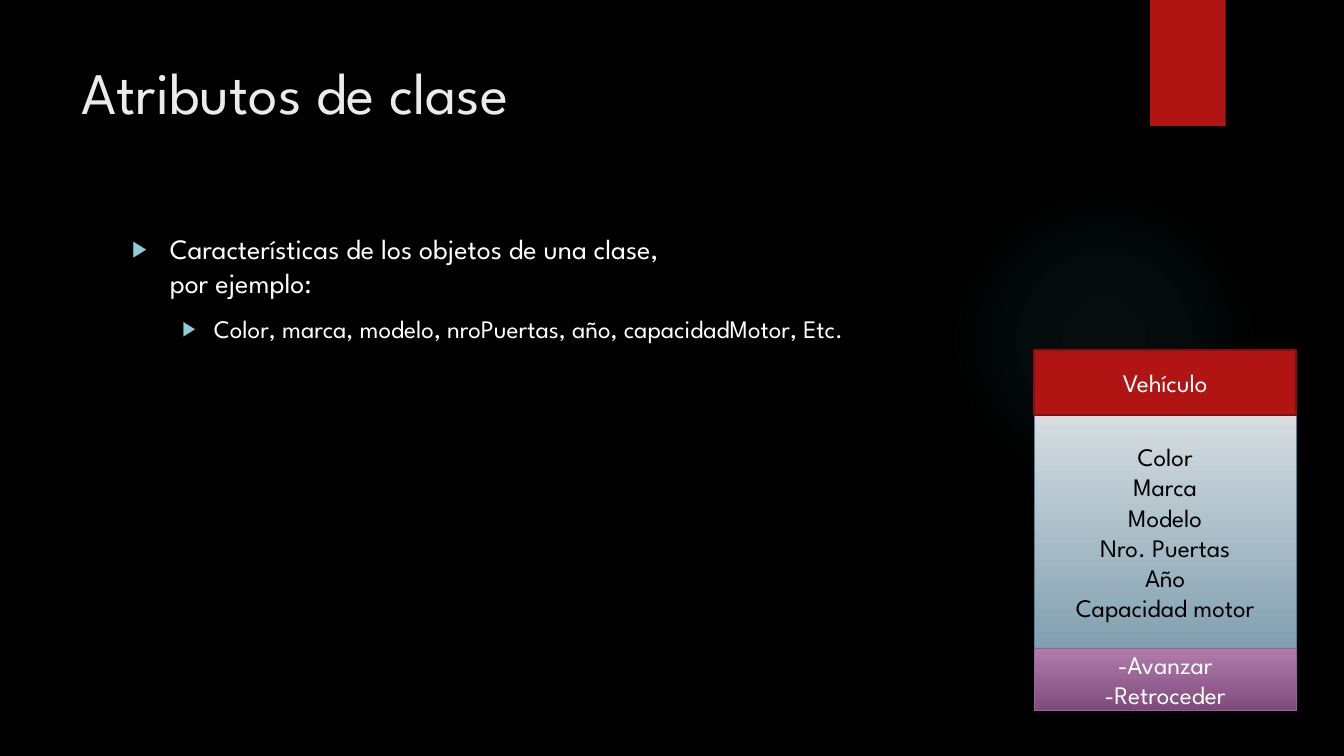
from lxml import etree
from pptx import Presentation
from pptx.dml.color import RGBColor
from pptx.enum.shapes import MSO_SHAPE
from pptx.enum.text import MSO_ANCHOR, MSO_AUTO_SIZE, PP_ALIGN
from pptx.oxml import parse_xml
from pptx.oxml.ns import qn
from pptx.util import Pt

RECTANGLE, OVAL = MSO_SHAPE.RECTANGLE, MSO_SHAPE.OVAL
TOP, MIDDLE = MSO_ANCHOR.TOP, MSO_ANCHOR.MIDDLE
LEFT, CENTER = PP_ALIGN.LEFT, PP_ALIGN.CENTER
NO_AUTOFIT = MSO_AUTO_SIZE.NONE

FONT = "League Spartan"
DRAWING_NS = "http://schemas.openxmlformats.org/drawingml/2006/main"
COLORS = {
    "background": "000000", "title": "EBEBEB", "light": "FFFFFF", "dark": "000000",
    "bullet": "8AD0D6", "glow": "50B9C1", "red": "B01513", "red line": "82100E",
    "blue top": "D5DDE2", "blue bottom": "81A0B0", "blue line": "54849A",
    "purple top": "AF7CAC", "purple bottom": "7F4B7C", "purple line": "9E5E9B",
}
GLOW_STOPS = [(0, 7), (36, 6), (69, 0)]  # position and opacity, in percent
CLASS_LEFT, CLASS_WIDTH = 738.72, 187.2


def rgb(name):
    return RGBColor.from_string(COLORS[name])


def style_paragraph(para, size, color, align):
    para.alignment = align
    para.font.name = FONT
    para.font.size = Pt(size)
    para.font.color.rgb = rgb(color)


def place(box, left, top, width, height):
    box.left, box.top, box.width, box.height = Pt(left), Pt(top), Pt(width), Pt(height)
    box.text_frame.word_wrap = True
    box.text_frame.auto_size = NO_AUTOFIT
    box.text_frame.vertical_anchor = TOP


def add_bullet(para, margin, hanging):
    props = para._p.get_or_add_pPr()
    props.set("marL", str(Pt(margin)))
    props.set("indent", str(-Pt(hanging)))
    color = etree.SubElement(props, qn("a:buClr"))
    etree.SubElement(color, qn("a:srgbClr"), val=COLORS["bullet"])
    etree.SubElement(props, qn("a:buSzPct"), val="80000")
    etree.SubElement(props, qn("a:buChar"), char="▶")


def add_shadow(shape):
    effects = shape._element.spPr.find(qn("a:effectLst"))
    effects.append(parse_xml(
        f'<a:outerShdw xmlns:a="{DRAWING_NS}" blurRad="{Pt(3)}" dist="{Pt(2)}" '
        'dir="5400000" rotWithShape="0"><a:srgbClr val="000000">'
        '<a:alpha val="45000"/></a:srgbClr></a:outerShdw>'))


def add_panel(page, kind, left, top, width, height, fill, line=None, line_width=0.75):
    """Add a shape; one fill name is solid, two run from top to bottom."""
    shape = page.shapes.add_shape(kind, Pt(left), Pt(top), Pt(width), Pt(height))
    shape.shadow.inherit = False
    if len(fill) == 1:
        shape.fill.solid()
        shape.fill.fore_color.rgb = rgb(fill[0])
    else:
        shape.fill.gradient()
        shape.fill.gradient_angle = 270
        for stop, position, name in zip(shape.fill.gradient_stops, (0, 1), fill):
            stop.position = position
            stop.color.rgb = rgb(name)
    if line:
        shape.line.color.rgb = rgb(line)
        shape.line.width = Pt(line_width)
    else:
        shape.line.fill.background()
    return shape


def add_class_part(page, top, height, lines, color, fill, line, line_width=0.75):
    shape = add_panel(page, RECTANGLE, CLASS_LEFT, top, CLASS_WIDTH, height,
                      fill, line, line_width)
    frame = shape.text_frame
    frame.word_wrap = True
    frame.vertical_anchor = MIDDLE
    frame.text = "\n".join(lines)
    for para in frame.paragraphs:
        style_paragraph(para, 18, color, CENTER)
    return shape


def add_glow(page):
    glow = add_panel(page, OVAL, 677.52, 131.76, 221.76, 221.76, ["glow"])
    stops = "".join(
        f'<a:gs pos="{position * 1000}"><a:srgbClr val="{COLORS["glow"]}">'
        f'<a:alpha val="{opacity * 1000}"/></a:srgbClr></a:gs>'
        for position, opacity in GLOW_STOPS)
    props = glow._element.spPr
    props.replace(props.find(qn("a:solidFill")), parse_xml(
        f'<a:gradFill xmlns:a="{DRAWING_NS}"><a:gsLst>{stops}</a:gsLst>'
        '<a:path path="circle"><a:fillToRect l="50000" t="50000" r="50000" b="50000"/>'
        '</a:path></a:gradFill>'))
    return glow


def fill_title(title):
    place(title, 51.12, 36, 740.88, 110.16)
    title.text_frame.text = "Atributos de clase"
    style_paragraph(title.text_frame.paragraphs[0], 42, "title", LEFT)


def fill_body(body):
    place(body, 87.12, 162, 704.16, 330.48)
    items = [
        ("Características de los objetos de una clase,\vpor ejemplo:", 20, 27, 27),
        ("Color, marca, modelo, nroPuertas, año, capacidadMotor, Etc.", 18, 58.5, 22.5),
    ]
    frame = body.text_frame
    for level, (text, size, margin, hanging) in enumerate(items):
        para = frame.add_paragraph() if level else frame.paragraphs[0]
        para.text = text
        para.level = level
        para.space_before = Pt(10)
        add_bullet(para, margin, hanging)
        style_paragraph(para, size, "light", LEFT)


def main():
    deck = Presentation()
    deck.slide_width, deck.slide_height = Pt(960), Pt(540)
    page = deck.slides.add_slide(deck.slide_layouts[1])
    page.background.fill.solid()
    page.background.fill.fore_color.rgb = rgb("background")
    title, body = page.placeholders

    # Decoration, behind the text
    ribbon = add_panel(page, RECTANGLE, 821.52, 0, 54, 90, ["red"])
    add_shadow(ribbon)
    for shape in (add_glow(page), ribbon):
        title._element.addprevious(shape._element)

    # Title and list
    fill_title(title)
    fill_body(body)

    # Class diagram
    attributes = ["Color", "Marca", "Modelo", "Nro. Puertas", "Año", "Capacidad motor"]
    add_class_part(page, 296.64, 167.04, attributes, "dark",
                   ["blue top", "blue bottom"], "blue line")
    add_class_part(page, 249.84, 46.8, ["Vehículo"], "light", ["red"], "red line", 1.5)
    methods = add_class_part(page, 462.96, 44.64, ["-Avanzar", "-Retroceder"], "light",
                             ["purple top", "purple bottom"], "purple line")
    add_shadow(methods)

    deck.save("out.pptx")


if __name__ == "__main__":
    main()
